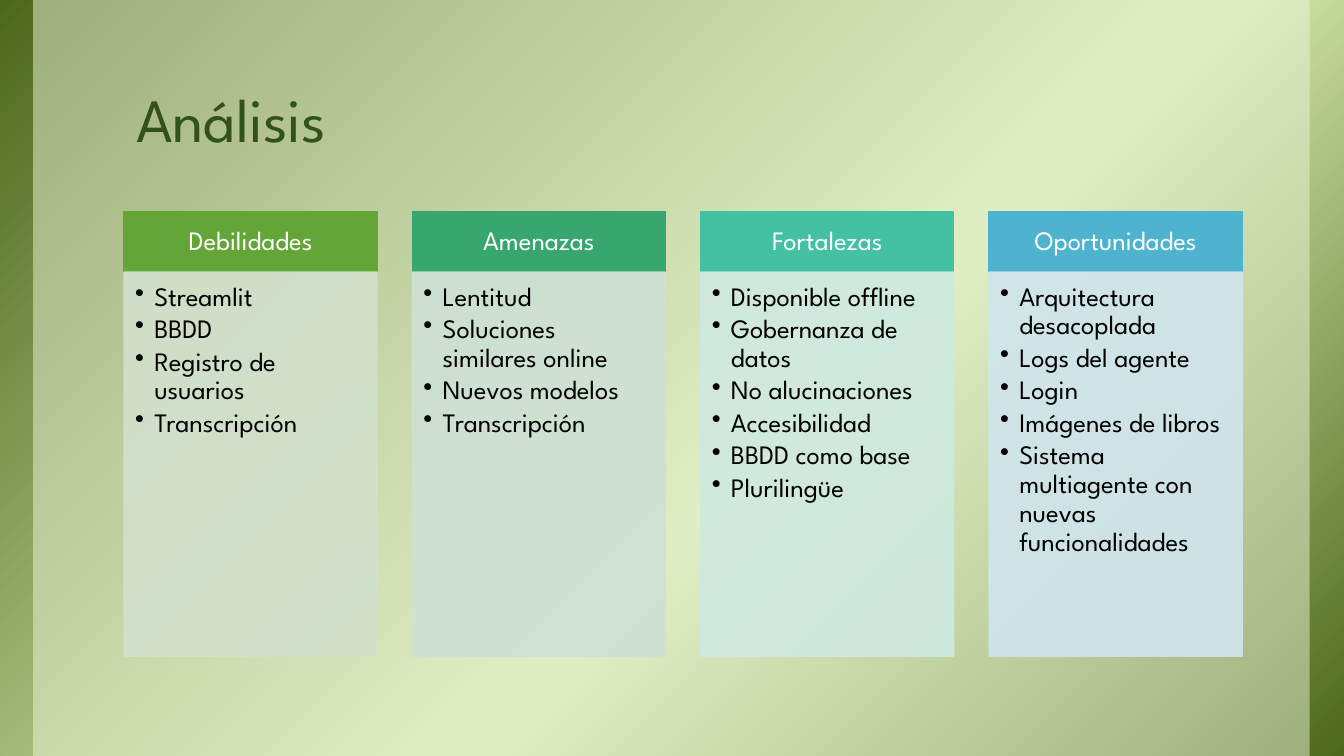
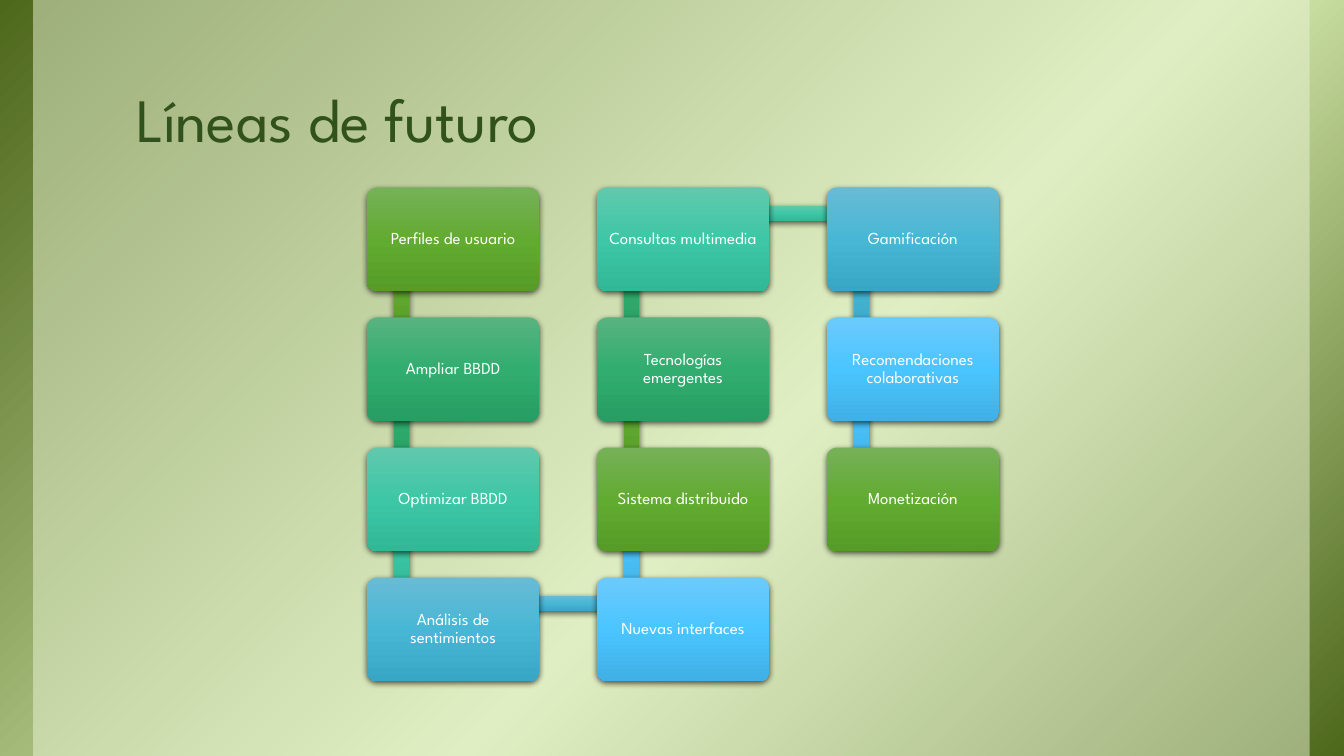
"""Build two slides: a four-column analysis and a snaking roadmap of future work."""
from itertools import cycle

from lxml.etree import SubElement
from pptx import Presentation
from pptx.dml.color import RGBColor
from pptx.enum.shapes import MSO_SHAPE as Shape
from pptx.enum.text import MSO_ANCHOR as Anchor, MSO_AUTO_SIZE as AutoSize, PP_ALIGN as Align
from pptx.oxml.ns import qn
from pptx.util import Inches, Pt

FONT = "League Spartan"
WHITE, BLACK, TITLE_GREEN, PANEL = "FFFFFF", "000000", "31521C", "EBF5D7"
BACKDROP = [(0, "4D671B"), (58, "D6EAAF"), (100, "4D671B")]

ANALYSIS = [
    ("Debilidades", "63A537", "D3E1CE",
     ["Streamlit", "BBDD", "Registro de usuarios", "Transcripción"]),
    ("Amenazas", "37A76F", "CEE1D5",
     ["Lentitud", "Soluciones similares online", "Nuevos modelos", "Transcripción"]),
    ("Fortalezas", "44C1A3", "CFE9E0",
     ["Disponible offline", "Gobernanza de datos", "No alucinaciones",
      "Accesibilidad", "BBDD como base", "Plurilingüe"]),
    ("Oportunidades", "4EB3CF", "D0E5ED",
     ["Arquitectura desacoplada", "Logs del agente", "Login", "Imágenes de libros",
      "Sistema multiagente con nuevas funcionalidades"]),
]
FUTURE = [
    "Perfiles de usuario", "Ampliar BBDD", "Optimizar BBDD", "Análisis de sentimientos",
    "Nuevas interfaces", "Sistema distribuido", "Tecnologías emergentes",
    "Consultas multimedia", "Gamificación", "Recomendaciones colaborativas", "Monetización",
]
CARD_GRADIENTS = [
    ("76B158", "62AB31", "569C27"),
    ("58B380", "31AD6F", "279E63"),
    ("61C8AD", "3EC7A6", "30B897"),
    ("68BBD5", "48B7D5", "38A6C5"),
    ("6BCAFC", "4BC5FF", "40B0E5"),
]

COLUMN_LEFT, COLUMN_STEP, COLUMN_WIDTH = 1.23, 2.86, 2.51
HEADER_TOP, HEADER_HEIGHT, LIST_HEIGHT = 2.1, 0.6, 3.81
CARD_LEFT, CARD_TOP, CARD_WIDTH, CARD_HEIGHT = 3.64, 1.86, 1.71, 1.03
STEP_X, STEP_Y, ROWS, BAR = 2.28, 1.29, 4, 0.15


def rgb(color):
    return RGBColor.from_string(color)


def set_attributes(target, values):
    for name, value in values.items():
        setattr(target, name, value)


def set_alpha(fill_parent, percent):
    for color in fill_parent.iter(qn("a:srgbClr")):
        SubElement(color, qn("a:alpha"), val=str(percent * 1000))


def add_block(slide, box, color, kind=Shape.RECTANGLE, line=None):
    shape = slide.shapes.add_shape(kind, *map(Inches, box))
    shape.shadow.inherit = False
    if isinstance(color, str):
        shape.fill.solid()
        shape.fill.fore_color.rgb = rgb(color)
    if line:
        shape.line.color.rgb = rgb(line)
        shape.line.width = Pt(1)
    else:
        shape.line.fill.background()
    return shape


def set_gradient(shape, stops, clockwise_angle):
    shape.fill.gradient()
    shape.fill.gradient_angle = 360 - clockwise_angle
    stop_list = next(shape.element.iter(qn("a:gsLst")))
    stop_list.clear()
    for position, color in stops:
        stop = SubElement(stop_list, qn("a:gs"), pos=str(position * 1000))
        SubElement(stop, qn("a:srgbClr"), val=color)


def add_glossy(slide, box, colors, kind=Shape.RECTANGLE):
    shape = add_block(slide, box, None, kind)
    set_gradient(shape, zip((0, 50, 100), colors), 90)
    effects = next(shape.element.iter(qn("a:effectLst")))
    shadow = SubElement(effects, qn("a:outerShdw"), blurRad=str(Pt(4.5)), dist=str(Pt(1.5)),
                        dir="5400000", algn="ctr", rotWithShape="0")
    SubElement(shadow, qn("a:srgbClr"), val=BLACK)
    set_alpha(shadow, 63)
    return shape


def write(shape, lines, size, color, insets, anchor=Anchor.MIDDLE, align=Align.CENTER,
          spacing=0.9, bullet=False):
    frame = shape.text_frame
    sides = ("margin_left", "margin_top", "margin_right", "margin_bottom")
    set_attributes(frame, dict(zip(sides, map(Inches, insets))))
    set_attributes(frame, {"word_wrap": True, "auto_size": AutoSize.NONE,
                           "vertical_anchor": anchor})
    for index, line in enumerate(lines):
        paragraph = frame.add_paragraph() if index else frame.paragraphs[0]
        paragraph.text = line
        set_attributes(paragraph, {"alignment": align, "line_spacing": spacing})
        if bullet:
            paragraph.space_after = Pt(2.7)
            properties = paragraph._p.get_or_add_pPr()
            properties.set("marL", str(Inches(0.19)))
            properties.set("indent", str(Inches(-0.19)))
            SubElement(properties, qn("a:buChar"), char="•")
        set_attributes(paragraph.font, {"name": FONT, "size": Pt(size)})
        paragraph.font.color.rgb = rgb(color)


def add_titled_slide(presentation, layout, text):
    slide = presentation.slides.add_slide(layout)
    title = slide.shapes.title
    set_attributes(title, {"left": Inches(1.22), "top": Inches(0.08),
                           "width": Inches(11.11), "height": Inches(1.53)})
    write(title, [text], 44, TITLE_GREEN, (0.13, 0.07, 0.13, 0.07),
          Anchor.BOTTOM, Align.LEFT, 0.85)
    return slide


def decorate_layout(layout, slide):
    backdrop = add_block(slide, (0, 0, 13.33, 7.5), None)
    set_gradient(backdrop, BACKDROP, 45)
    panel = add_block(slide, (0.33, 0, 12.66, 7.5), PANEL)
    set_alpha(panel.element.spPr, 50)
    for offset, shape in enumerate((backdrop, panel)):
        shape.element.nvSpPr.cNvPr.set("id", str(100 + offset))
        layout.shapes.element.insert(2 + offset, shape.element)


def add_analysis(slide):
    for index, (heading, strong, pale, items) in enumerate(ANALYSIS):
        left = COLUMN_LEFT + index * COLUMN_STEP
        header = add_block(slide, (left, HEADER_TOP, COLUMN_WIDTH, HEADER_HEIGHT),
                           strong, line=strong)
        write(header, [heading], 19, WHITE, (0.15, 0.08, 0.15, 0.08))
        body = add_block(slide, (left, HEADER_TOP + HEADER_HEIGHT, COLUMN_WIDTH, LIST_HEIGHT),
                         pale, line=pale)
        set_alpha(body.element.spPr, 90)
        write(body, items, 19, BLACK, (0.11, 0.11, 0.15, 0.17),
              Anchor.TOP, Align.LEFT, bullet=True)


def card_position(index):
    column, row = divmod(index, ROWS)
    if column % 2:
        row = ROWS - 1 - row
    return CARD_LEFT + column * STEP_X, CARD_TOP + row * STEP_Y


def add_future(slide):
    for index, (label, colors) in enumerate(zip(FUTURE, cycle(CARD_GRADIENTS))):
        left, top = card_position(index)
        if index + 1 < len(FUTURE):
            next_left, next_top = card_position(index + 1)
            if next_left > left:
                bar = (left + 0.35, top + 0.18, STEP_X, BAR)
            else:
                bar = (left + 0.27, min(top, next_top) + 0.25, BAR, STEP_Y)
            add_glossy(slide, bar, colors)
        card = add_glossy(slide, (left, top, CARD_WIDTH, CARD_HEIGHT), colors,
                          Shape.ROUNDED_RECTANGLE)
        card.adjustments[0] = 0.1
        write(card, [label], 12, WHITE, [0.08] * 4)


def main():
    presentation = Presentation()
    set_attributes(presentation, {"slide_width": Inches(13.33), "slide_height": Inches(7.5)})
    layout = presentation.slide_layouts.get_by_name("Title Only")
    analysis = add_titled_slide(presentation, layout, "Análisis")
    decorate_layout(layout, analysis)
    add_analysis(analysis)
    add_future(add_titled_slide(presentation, layout, "Líneas de futuro"))
    presentation.save("out.pptx")


if __name__ == "__main__":
    main()
